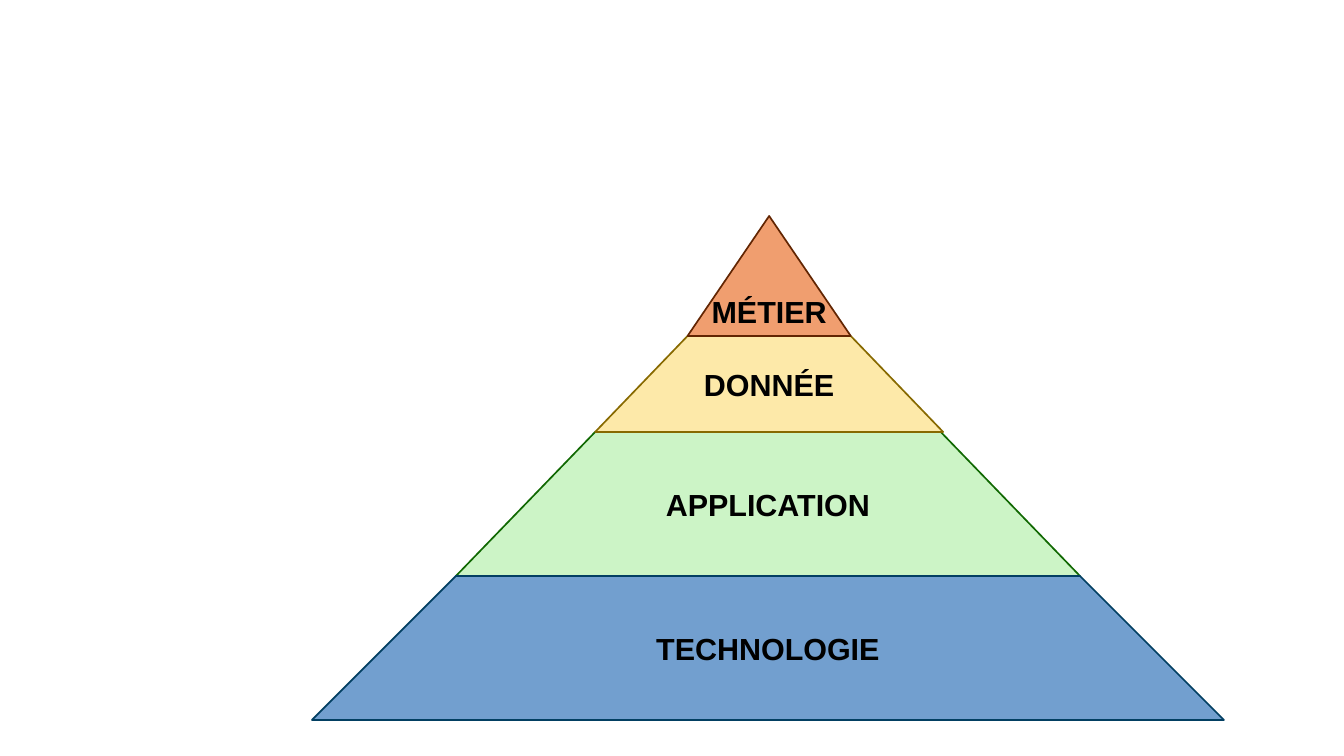
from pptx import Presentation
from pptx.dml.color import RGBColor
from pptx.enum.text import MSO_ANCHOR, PP_ALIGN
from pptx.util import Cm, Pt

MIDDLE, BOTTOM = MSO_ANCHOR.MIDDLE, MSO_ANCHOR.BOTTOM
CENTER = PP_ALIGN.CENTER
BLACK = RGBColor(0x00, 0x00, 0x00)
GREEN, DARK_GREEN = RGBColor(0xCC, 0xF4, 0xC6), RGBColor(0x10, 0x68, 0x02)
BLUE, DARK_BLUE = RGBColor(0x72, 0x9F, 0xCF), RGBColor(0x02, 0x3F, 0x62)
YELLOW, DARK_YELLOW = RGBColor(0xFD, 0xE9, 0xA9), RGBColor(0x87, 0x69, 0x00)
ORANGE, DARK_ORANGE = RGBColor(0xF0, 0x9E, 0x6F), RGBColor(0x62, 0x25, 0x02)

presentation = Presentation()
presentation.slide_width = Cm(28)
presentation.slide_height = Cm(15.75)
slide = presentation.slides.add_slide(presentation.slide_layouts[6])

GRID = Cm(0.5)
APEX, METIER_BASE, DONNEE_BASE, APPLICATION_BASE, TECHNOLOGIE_BASE = 9, 14, 18, 24, 30

layers = [
    ("APPLICATION", DONNEE_BASE, APPLICATION_BASE, (24.8, 39.2), (19, 45),
     GREEN, DARK_GREEN, MIDDLE),
    ("TECHNOLOGIE", APPLICATION_BASE, TECHNOLOGIE_BASE, (19, 45), (13, 51),
     BLUE, DARK_BLUE, MIDDLE),
    ("DONNÉE", METIER_BASE, DONNEE_BASE, (28.65, 35.45), (24.8, 39.3),
     YELLOW, DARK_YELLOW, MIDDLE),
    ("MÉTIER", APEX, METIER_BASE, (32.05,), (28.65, 35.45),
     ORANGE, DARK_ORANGE, BOTTOM),
]

for label, top, base, top_columns, base_columns, fill, outline, anchor in layers:
    left, right = base_columns
    corners = [(column, top) for column in top_columns] + [(right, base)]
    builder = slide.shapes.build_freeform(
        round(left * GRID), round(base * GRID))
    builder.add_line_segments(
        [(round(column * GRID), round(row * GRID)) for column, row in corners],
        close=True)
    shape = builder.convert_to_shape()
    shape.shadow.inherit = False
    shape.fill.solid()
    shape.fill.fore_color.rgb = fill
    shape.line.color.rgb = outline
    shape.line.width = Pt(1)

    frame = shape.text_frame
    frame.word_wrap = True
    frame.vertical_anchor = anchor
    paragraph = frame.paragraphs[0]
    paragraph.text = label
    paragraph.alignment = CENTER
    paragraph.font.name = "Arial"
    paragraph.font.size = Pt(18)
    paragraph.font.bold = True
    paragraph.font.color.rgb = BLACK

presentation.save("out.pptx")
